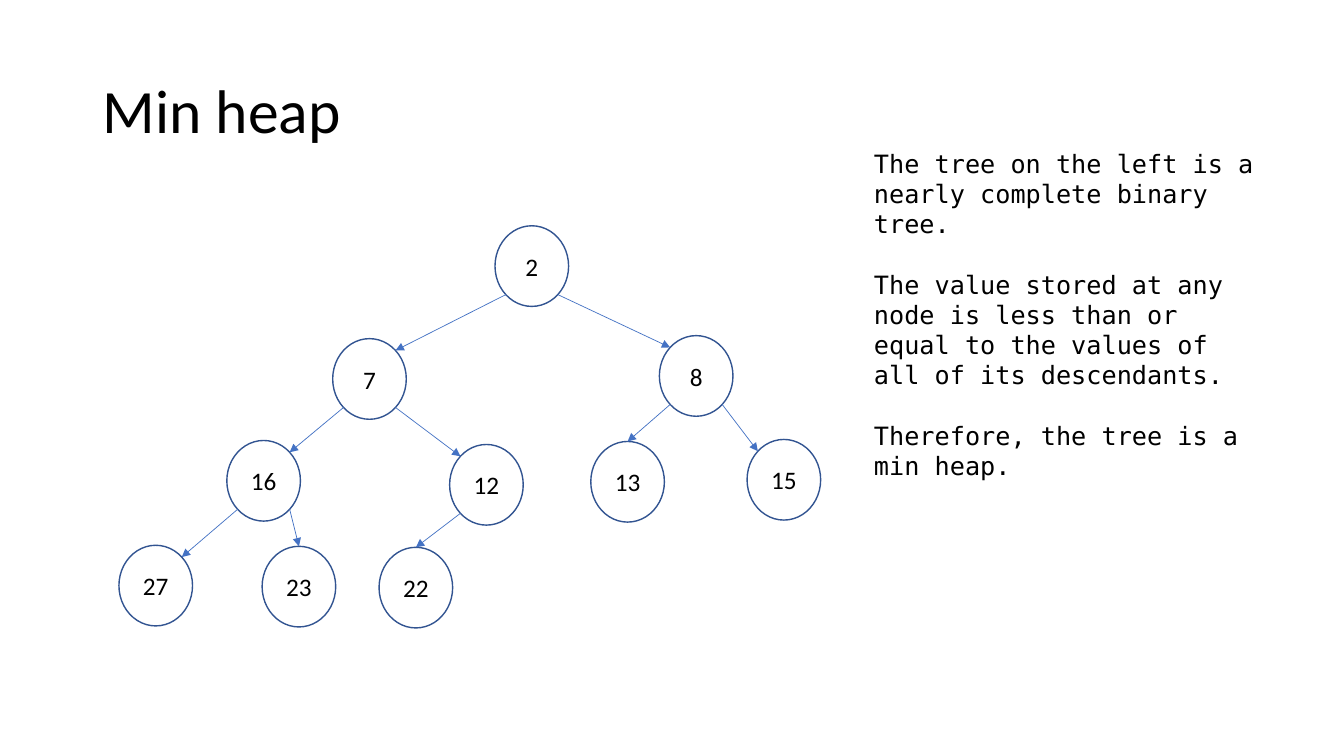
"""Build a slide that shows a min heap as a binary tree beside its explanation."""
from math import sqrt

from lxml.etree import SubElement
from pptx import Presentation
from pptx.dml.color import RGBColor
from pptx.enum.shapes import MSO_CONNECTOR as Connector, MSO_SHAPE as Shape
from pptx.enum.text import MSO_ANCHOR as Anchor, MSO_AUTO_SIZE as AutoSize, PP_ALIGN as Align
from pptx.oxml.ns import qn
from pptx.util import Inches, Pt

BLACK = RGBColor(0x00, 0x00, 0x00)
OUTLINE = RGBColor(0x32, 0x54, 0x91)
ARROW = RGBColor(0x44, 0x72, 0xC4)
NODE_WIDTH, NODE_HEIGHT = 0.73, 0.8
DIAGONAL = sqrt(0.5)

NODES = {
    2: (4.91, 2.24),
    7: (3.3, 3.36), 8: (6.54, 3.33),
    16: (2.25, 4.37), 12: (4.46, 4.41), 13: (5.86, 4.38), 15: (7.41, 4.36),
    27: (1.18, 5.41), 23: (2.6, 5.42), 22: (3.76, 5.43),
}
SITES = {
    "top": (0, -1),
    "top left": (-DIAGONAL, -DIAGONAL), "top right": (DIAGONAL, -DIAGONAL),
    "bottom left": (-DIAGONAL, DIAGONAL), "bottom right": (DIAGONAL, DIAGONAL),
}
EDGES = [
    (2, "bottom left", 7, "top right"), (2, "bottom right", 8, "top left"),
    (7, "bottom left", 16, "top right"), (7, "bottom right", 12, "top left"),
    (8, "bottom left", 13, "top"), (8, "bottom right", 15, "top left"),
    (16, "bottom left", 27, "top right"), (16, "bottom right", 23, "top"),
    (12, "bottom left", 22, "top"),
]
EXPLANATION = [
    "The tree on the left is a nearly complete binary tree.",
    "The value stored at any node is less than or equal to the values of all of its descendants.",
    "Therefore, the tree is a min heap.",
]


def add_text(paragraph, text, size, font_name):
    run = paragraph.add_run()
    run.text = text
    run.font.size = Pt(size)
    run.font.name = font_name
    run.font.color.rgb = BLACK


def site_point(value, site):
    left, top = NODES[value]
    across, down = SITES[site]
    return (Inches(left + NODE_WIDTH / 2 * (1 + across)),
            Inches(top + NODE_HEIGHT / 2 * (1 + down)))


presentation = Presentation()
presentation.slide_width = Inches(13.33)
presentation.slide_height = Inches(7.5)
slide = presentation.slides.add_slide(presentation.slide_layouts[5])

title = slide.shapes.title
title.left, title.top = Inches(0.92), Inches(0.4)
title.width, title.height = Inches(11.5), Inches(1.45)
title.text_frame.vertical_anchor = Anchor.MIDDLE
paragraph = title.text_frame.paragraphs[0]
paragraph.alignment = Align.LEFT
paragraph.line_spacing = 0.9
add_text(paragraph, "Min heap", 44, "Calibri")

for value, (left, top) in NODES.items():
    node = slide.shapes.add_shape(
        Shape.OVAL, Inches(left), Inches(top), Inches(NODE_WIDTH), Inches(NODE_HEIGHT))
    node.shadow.inherit = False
    node.fill.background()
    node.line.color.rgb = OUTLINE
    node.line.width = Pt(1)
    node.text_frame.vertical_anchor = Anchor.MIDDLE
    paragraph = node.text_frame.paragraphs[0]
    paragraph.alignment = Align.CENTER
    add_text(paragraph, str(value), 18, "Calibri")

for parent, parent_site, child, child_site in EDGES:
    arrow = slide.shapes.add_connector(
        Connector.STRAIGHT, *site_point(parent, parent_site), *site_point(child, child_site))
    arrow.line.color.rgb = ARROW
    arrow.line.width = Pt(0.5)
    properties = arrow._element.spPr
    SubElement(properties.find(qn("a:ln")), qn("a:tailEnd"), type="triangle")
    SubElement(properties, qn("a:effectLst"))

explanation = slide.shapes.add_textbox(Inches(8.57), Inches(1.42), Inches(4.1), Inches(3.13))
frame = explanation.text_frame
frame.word_wrap = True
frame.auto_size = AutoSize.SHAPE_TO_FIT_TEXT
for index, sentence in enumerate(EXPLANATION):
    paragraph = frame.add_paragraph() if index else frame.paragraphs[0]
    paragraph.space_before = Pt(21.5 if index else 0)
    add_text(paragraph, sentence, 18, "DejaVu Sans Mono")

presentation.save("out.pptx")
